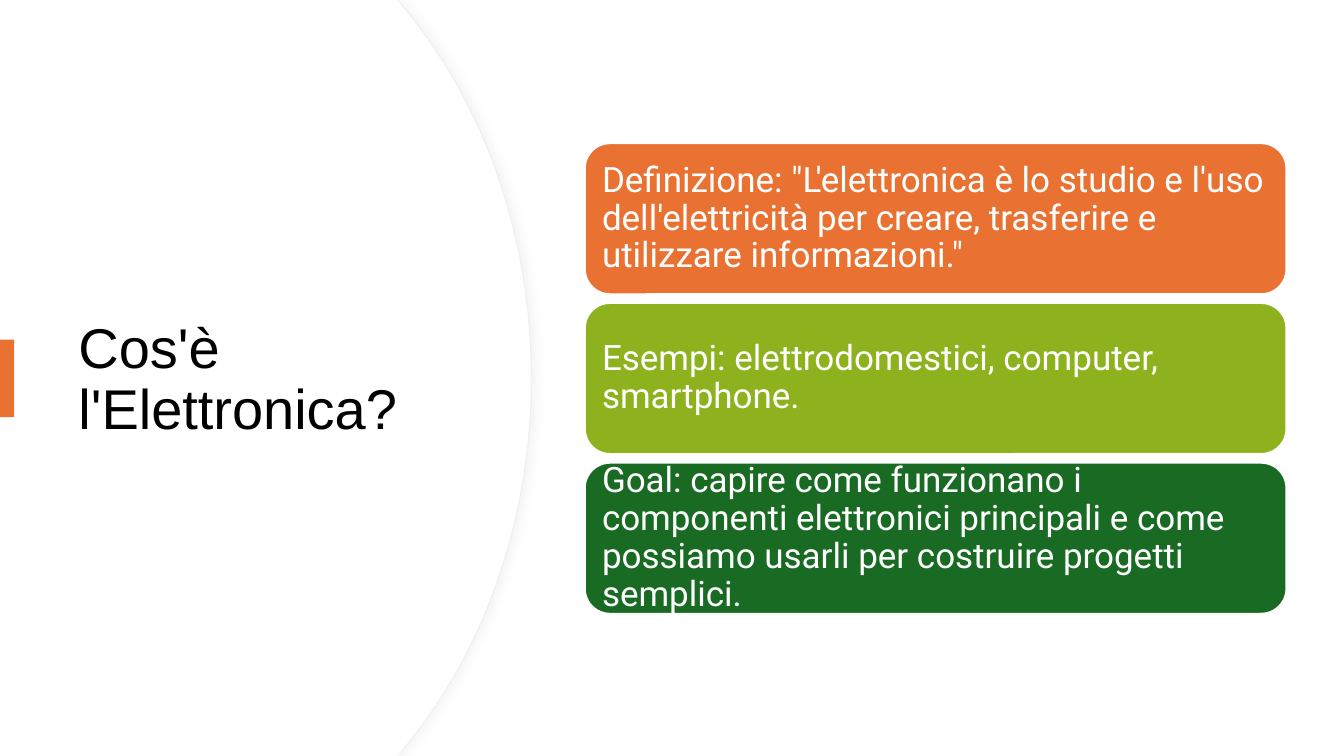
from dataclasses import dataclass

from lxml import etree
from pptx import Presentation
from pptx import util as u
from pptx.dml.color import RGBColor
from pptx.enum import shapes, text
from pptx.oxml.ns import qn

WIDTH = u.Inches(13.33)
HEIGHT = u.Inches(7.5)

WHITE = RGBColor(0xFF, 0xFF, 0xFF)
BLACK = RGBColor(0x00, 0x00, 0x00)
ORANGE = RGBColor(0xE9, 0x71, 0x32)
LIME = RGBColor(0x8E, 0xB2, 0x1E)
GREEN = RGBColor(0x19, 0x6B, 0x24)
PALE_GREY = RGBColor(0xEF, 0xEF, 0xEF)
SHADOW_GREY = RGBColor(0xD9, 0xD9, 0xD9)

CARD_TOP = 1.42 / 7.5
CARD_STEP = 1.585 / 7.5


@dataclass(frozen=True)
class Box:
    left: float
    top: float
    width: float
    height: float

    def lengths(self) -> tuple[int, int, int, int]:
        return (round(self.left * WIDTH), round(self.top * HEIGHT),
                round(self.width * WIDTH), round(self.height * HEIGHT))


@dataclass(frozen=True)
class Card:
    wording: str
    color: RGBColor


TITLE_BOX = Box(0.68 / 13.33, 1.27 / 7.5, 3.94 / 13.33, 4.95 / 7.5)
ACCENT_BOX = Box(0, 3.37 / 7.5, 0.14 / 13.33, 0.77 / 7.5)
CARDS = (
    Card("Definizione: \"L'elettronica è lo studio e l'uso dell'elettricità per creare, "
         "trasferire e utilizzare informazioni.\"", ORANGE),
    Card("Esempi: elettrodomestici, computer, smartphone.", LIME),
    Card("Goal: capire come funzionano i componenti elettronici principali e come possiamo "
         "usarli per costruire progetti semplici.", GREEN),
)


def set_fill(shape, color: RGBColor) -> None:
    shape.shadow.inherit = False
    shape.fill.solid()
    shape.fill.fore_color.rgb = color


def set_line(shape, color: RGBColor, width: float) -> None:
    shape.line.color.rgb = color
    shape.line.width = u.Pt(width)


def write_text(shape, wording: str, font_name: str, size: int, color: RGBColor) -> None:
    frame = shape.text_frame
    frame_format = {"word_wrap": True, "vertical_anchor": text.MSO_ANCHOR.MIDDLE,
                    "margin_left": u.Inches(0.1), "margin_right": u.Inches(0.1)}
    for name, value in frame_format.items():
        setattr(frame, name, value)
    paragraph = frame.paragraphs[0]
    paragraph.text = wording
    paragraph.alignment = text.PP_ALIGN.LEFT
    paragraph.line_spacing = 0.9
    for name, value in {"name": font_name, "size": u.Pt(size)}.items():
        setattr(paragraph.font, name, value)
    paragraph.font.color.rgb = color


def bend_segments(shape, first: int, curves: int) -> None:
    segments = list(shape._element.iter(qn("a:lnTo")))
    for start in range(first, first + 3 * curves, 3):
        group = segments[start:start + 3]
        curve = etree.Element(qn("a:cubicBezTo"))
        group[0].addprevious(curve)
        for segment in group:
            curve.append(segment[0])
            segment.getparent().remove(segment)


def add_panel(slide, edge: float):
    upper = [(3.94, 0), (edge - 1.26, 0.08), (edge - 0.48, 1.02), (edge, 2.32)]
    lower = [(x, 7.5 - y) for x, y in reversed(upper)]
    outline = [*upper, (edge, 3.75), *lower, (0, 7.5)]
    builder = slide.shapes.build_freeform(0, 0)
    builder.add_line_segments([(u.Inches(x), u.Inches(y)) for x, y in outline])
    panel = builder.convert_to_shape()
    bend_segments(panel, first=2, curves=2)
    set_fill(panel, WHITE)
    return panel


def add_shadow(shape) -> None:
    effects = shape._element.spPr.find(qn("a:effectLst"))
    shadow = etree.SubElement(effects, qn("a:outerShdw"), blurRad=str(u.Pt(7)),
                              dist=str(u.Pt(3)), dir="0", algn="l", rotWithShape="0")
    color = etree.SubElement(shadow, qn("a:srgbClr"), val=str(SHADOW_GREY))
    etree.SubElement(color, qn("a:alpha"), val="30000")


def add_card(slide, row: int, card: Card) -> None:
    box = Box(5.8 / 13.33, CARD_TOP + row * CARD_STEP, 6.96 / 13.33, 1.5 / 7.5)
    shape = slide.shapes.add_shape(shapes.MSO_SHAPE.ROUNDED_RECTANGLE, *box.lengths())
    set_fill(shape, card.color)
    set_line(shape, WHITE, 1.5)
    write_text(shape, card.wording, "Roboto", 25, WHITE)


def main() -> None:
    presentation = Presentation()
    presentation.slide_width = WIDTH
    presentation.slide_height = HEIGHT
    slide = presentation.slides.add_slide(presentation.slide_layouts[6])

    outlined_panel = add_panel(slide, 5.27)
    set_line(outlined_panel, PALE_GREY, 0.75)
    add_shadow(outlined_panel)
    add_panel(slide, 5.26).line.fill.background()

    title = slide.shapes.add_textbox(*TITLE_BOX.lengths())
    write_text(title, "Cos'è l'Elettronica?", "Arial", 40, BLACK)
    title.text_frame.margin_top = u.Inches(0.12)

    accent = slide.shapes.add_shape(shapes.MSO_SHAPE.RECTANGLE, *ACCENT_BOX.lengths())
    set_fill(accent, ORANGE)
    accent.line.fill.background()

    for row, card in enumerate(CARDS):
        add_card(slide, row, card)

    presentation.save("out.pptx")


if __name__ == "__main__":
    main()
